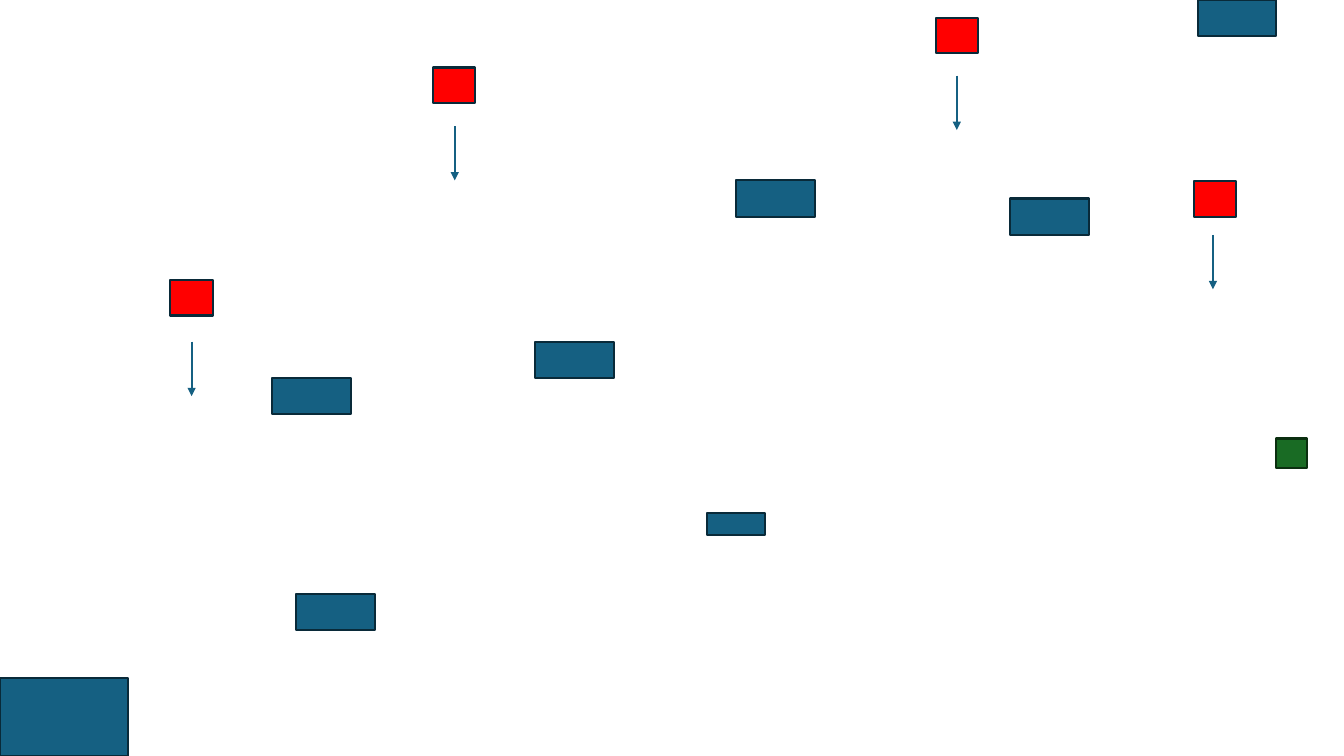
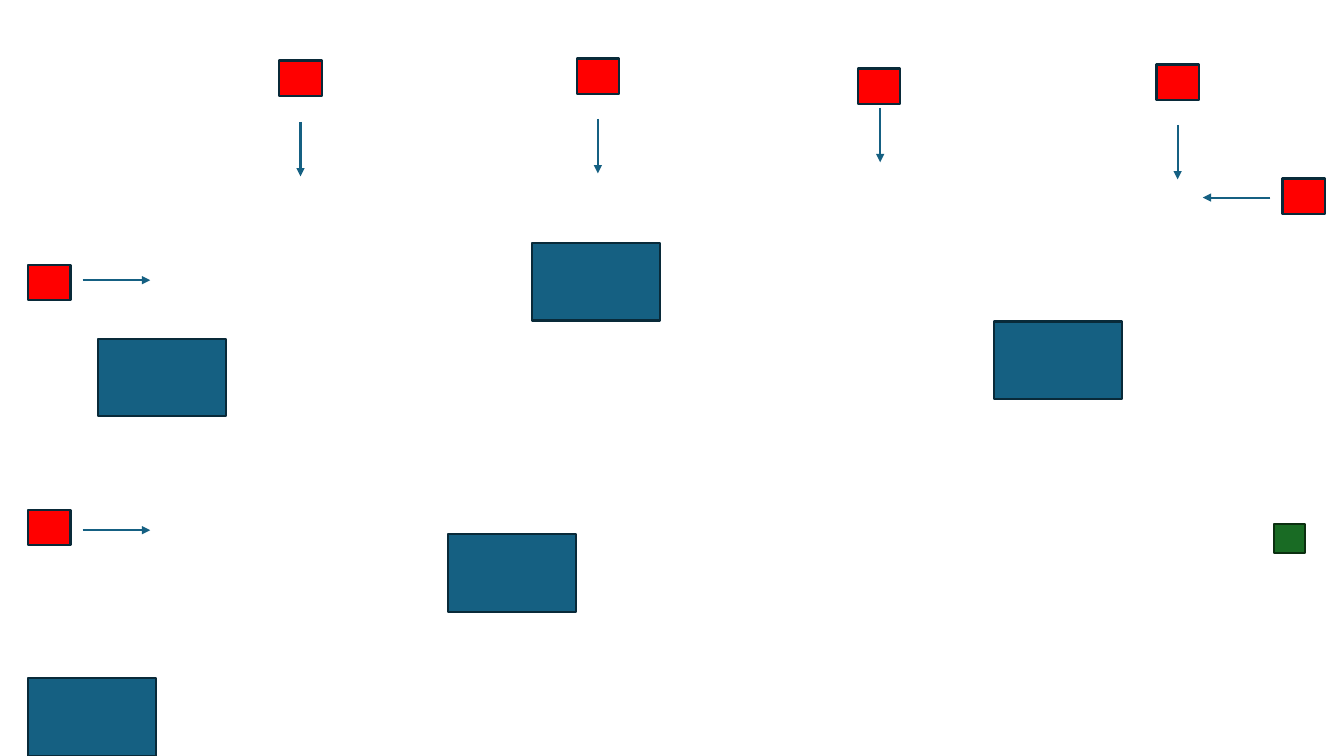
import pptx
import pptx.util
import pptx.dml.color
import pptx.enum.shapes
import pptx.oxml.ns
from dataclasses import dataclass
from lxml import etree
from pptx.util import Inches

RGB = pptx.dml.color.RGBColor.from_string


@dataclass(frozen=True)
class Theme:
    platform: str = "156082"
    enemy: str = "FF0000"
    goal: str = "196B24"
    outline: str = "092A39"
    goal_outline: str = "0B2F10"
    arrow: str = "156082"
    line_width: float = 1.5


THEME = Theme()

# kind: (width, height, fill, outline)
PIECES = {
    "ground": (1.27, 0.77, THEME.platform, THEME.outline),
    "ledge": (0.78, 0.36, THEME.platform, THEME.outline),
    "step": (0.58, 0.22, THEME.platform, THEME.outline),
    "enemy": (0.42, 0.35, THEME.enemy, THEME.outline),
    "goal": (0.3, 0.29, THEME.goal, THEME.goal_outline),
}

# direction: arrow run in x and y
MOVES = {"down": (0, 0.54), "right": (0.67, 0), "left": (-0.67, 0)}

# platforms and goal: (left, top)
# enemies: (left, top, direction, arrow start x, arrow start y)
LEVELS = [
    {
        "platforms": {
            "ground": [(0, 6.73)],
            "ledge": [(2.94, 5.89), (2.7, 3.75), (5.31, 3.39), (7.3, 1.79),
                      (10.02, 1.97), (11.88, 0)],
            "step": [(7.01, 5.09)],
        },
        "enemies": [
            (1.69, 2.78, "down", 1.9, 3.39),
            (4.29, 0.67, "down", 4.51, 1.25),
            (9.28, 0.18, "down", 9.49, 0.75),
            (11.84, 1.8, "down", 12.03, 2.33),
        ],
        "goal": (12.66, 4.35),
    },
    {
        "platforms": {
            "ground": [(0.28, 6.73), (0.97, 3.36), (5.28, 2.41), (4.44, 5.3),
                       (9.86, 3.19)],
        },
        "enemies": [
            (2.77, 0.6, "down", 2.98, 1.21),
            (8.51, 0.68, "down", 8.73, 1.07),
            (11.47, 0.64, "down", 11.68, 1.24),
            (5.72, 0.58, "down", 5.93, 1.18),
            (0.28, 2.63, "right", 0.82, 2.78),
            (0.28, 5.06, "right", 0.82, 5.26),
            (12.72, 1.77, "left", 12.6, 1.96),
        ],
        "goal": (12.64, 5.2),
    },
]


def style_line(line, color):
    line.color.rgb = RGB(color)
    line.width = pptx.util.Pt(THEME.line_width)


def add_piece(shapes, kind, left, top):
    width, height, fill, outline = PIECES[kind]
    piece = shapes.add_shape(
        pptx.enum.shapes.MSO_SHAPE.RECTANGLE,
        Inches(left), Inches(top), Inches(width), Inches(height))
    piece.shadow.inherit = False
    piece.fill.solid()
    piece.fill.fore_color.rgb = RGB(fill)
    style_line(piece.line, outline)
    return piece


def add_move_arrow(shapes, direction, x, y):
    run_x, run_y = MOVES[direction]
    arrow = shapes.add_connector(
        pptx.enum.shapes.MSO_CONNECTOR.STRAIGHT,
        Inches(x), Inches(y), Inches(x + run_x), Inches(y + run_y))
    style_line(arrow.line, THEME.arrow)
    qn = pptx.oxml.ns.qn
    properties = arrow._element.spPr
    etree.SubElement(properties.find(qn("a:ln")), qn("a:tailEnd"), type="triangle")
    etree.SubElement(properties, qn("a:effectLst"))


def add_enemy(shapes, left, top, direction, arrow_x, arrow_y):
    """Add an enemy with its arrow; one facing left is turned and grouped."""
    facing_left = direction == "left"
    if facing_left:
        shapes = shapes.add_group_shape().shapes
    enemy = add_piece(shapes, "enemy", left, top)
    if facing_left:
        enemy.rotation = 180
    add_move_arrow(shapes, direction, arrow_x, arrow_y)


def build_level(deck, level):
    shapes = deck.slides.add_slide(deck.slide_layouts[6]).shapes
    for kind, places in level["platforms"].items():
        for left, top in places:
            add_piece(shapes, kind, left, top)
    for enemy in level["enemies"]:
        add_enemy(shapes, *enemy)
    add_piece(shapes, "goal", *level["goal"])


def main():
    deck = pptx.Presentation()
    deck.slide_width, deck.slide_height = Inches(13.33), Inches(7.5)
    for level in LEVELS:
        build_level(deck, level)
    deck.save("out.pptx")


if __name__ == "__main__":
    main()
